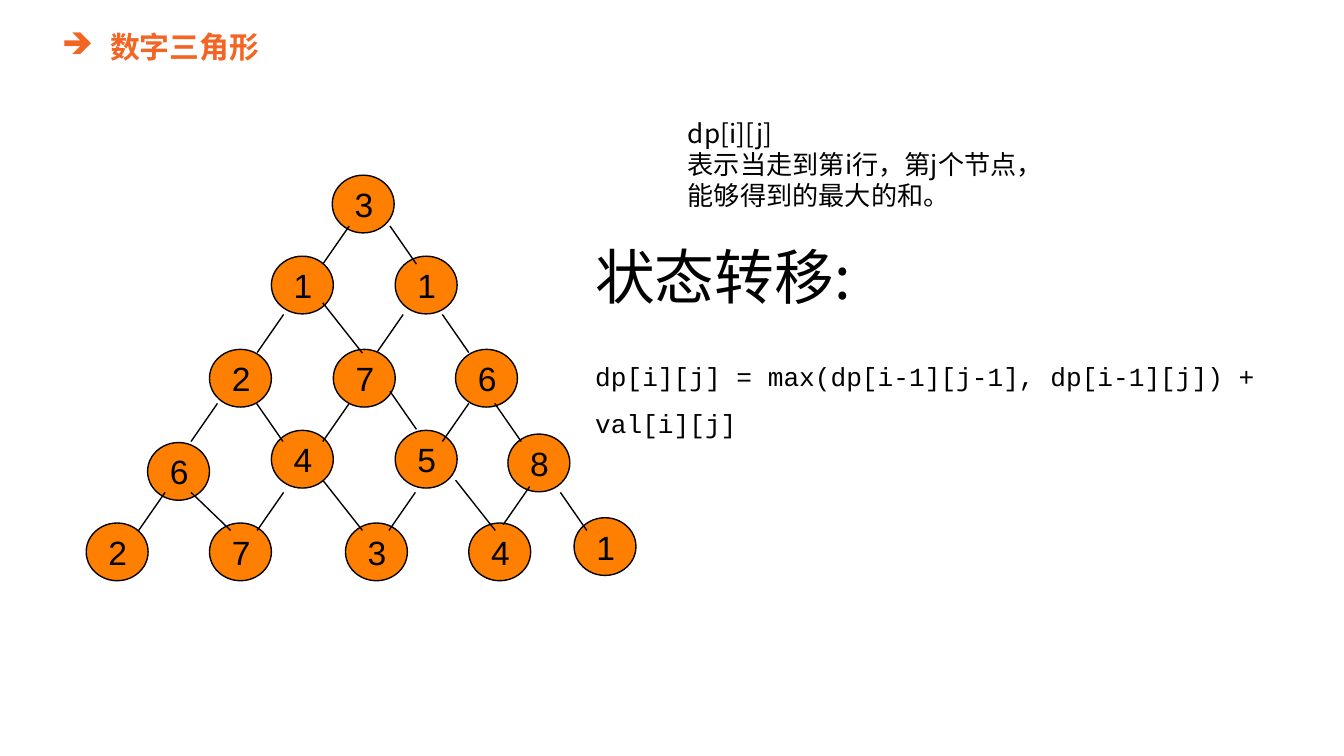
"""Build a slide explaining the number triangle and its state transition."""
from lxml import etree
from pptx import Presentation
from pptx import util as u
from pptx.dml.color import RGBColor
from pptx.enum import shapes, text
from pptx.oxml import ns

COLORS = {"accent": "F46524", "node": "FF7F00", "ink": "000000"}
CJK = "Noto Sans CJK SC"
MONO = "Courier New"
NODE_W, NODE_H = 1.17, 1.09

NODES = [
    [("3", 6.28, 3.31)],
    [("1", 5.13, 4.84), ("1", 7.47, 4.84)],
    [("2", 3.96, 6.6), ("7", 6.3, 6.6), ("6", 8.61, 6.6)],
    [("6", 2.79, 8.36), ("4", 5.13, 8.13), ("5", 7.47, 8.13), ("8", 9.6, 8.2)],
    [("2", 1.63, 9.88), ("7", 3.96, 9.88), ("3", 6.53, 9.88),
     ("4", 8.86, 9.88), ("1", 10.85, 9.78)],
]

EDGES = {
    (-0.5, 0.72): [(6.6, 4.27), (5.36, 5.94), (4.11, 7.62), (3.12, 9.3),
                   (7.62, 5.94), (6.6, 7.62), (5.36, 9.3), (8.86, 7.62),
                   (7.85, 9.3), (10.01, 9.19)],
    (0.5, 0.72): [(7.37, 4.27), (8.36, 5.94), (9.35, 7.62), (10.59, 9.3),
                  (4.85, 7.62), (7.37, 7.39)],
    (0.75, 0.95): [(6.1, 5.72), (8.61, 9.07), (6.1, 9.07)],
    (0.75, 0.72): [(3.61, 9.3)],
}


def rgb(name):
    """Return the named colour."""
    return RGBColor.from_string(COLORS[name])


def style(p, size, font, color="ink", bold=False):
    """Set the font of a paragraph for Latin and East Asian text."""
    p.font.size = u.Pt(size)
    p.font.name = font
    p.font.bold = bold
    p.font.color.rgb = rgb(color)
    props = p._p.get_or_add_pPr().get_or_add_defRPr()
    etree.SubElement(props, ns.qn("a:ea"), typeface=font)


def add_bullet(p, char, color):
    """Give a paragraph a coloured bullet with a hanging indent."""
    pPr = p._p.get_or_add_pPr()
    pPr.set("marL", str(u.Cm(1.27)))
    pPr.set("indent", str(-u.Cm(0.91)))
    clr = etree.Element(ns.qn("a:buClr"))
    etree.SubElement(clr, ns.qn("a:srgbClr"), val=COLORS[color])
    for el in (clr, etree.Element(ns.qn("a:buChar"), char=char)):
        pPr.get_or_add_defRPr().addprevious(el)


def add_text(s, box, lines):
    """Add a wrapping text box of (text, size, font) lines and return its paragraphs."""
    tf = s.shapes.add_textbox(*map(u.Cm, box)).text_frame
    tf.word_wrap = True
    tf.margin_left = tf.margin_right = tf.margin_top = tf.margin_bottom = u.Cm(0.25)
    tf.text = "\n".join(line for line, _, _ in lines)
    for p, (_, size, font) in zip(tf.paragraphs, lines):
        style(p, size, font)
    return tf.paragraphs


def add_title(s, title):
    """Add the bulleted slide title."""
    p = add_text(s, (0.56, 0.2, 17.3, 1.02), [(title, 16, CJK)])[0]
    p.line_spacing = 1.15
    p.space_after = u.Pt(10)
    p.font.bold = True
    p.font.color.rgb = rgb("accent")
    add_bullet(p, "➔", "accent")


def add_node(s, value, x, y):
    """Add one numbered circle of the triangle."""
    sp = s.shapes.add_shape(shapes.MSO_SHAPE.OVAL, *map(u.Cm, (x, y, NODE_W, NODE_H)))
    sp.shadow.inherit = False
    sp.fill.solid()
    sp.fill.fore_color.rgb = rgb("node")
    sp.line.color.rgb = rgb("ink")
    sp.line.width = u.Pt(0.75)
    tf = sp.text_frame
    tf.text = value
    tf.vertical_anchor = text.MSO_ANCHOR.MIDDLE
    p = tf.paragraphs[0]
    p.alignment = text.PP_ALIGN.CENTER
    style(p, 18, "Arial")


def add_edge(s, x, y, dx, dy):
    """Add one line from a node towards a node in the next row."""
    line = s.shapes.add_connector(
        shapes.MSO_CONNECTOR.STRAIGHT, *map(u.Cm, (x, y, x + dx, y + dy)))
    line.line.color.rgb = rgb("ink")
    line.line.width = u.Pt(0.75)
    etree.SubElement(line._element.spPr, ns.qn("a:effectLst"))


def main():
    """Build and save the slide."""
    prs = Presentation()
    prs.slide_width, prs.slide_height = u.Cm(25.4), u.Cm(14.28)
    s = prs.slides.add_slide(prs.slide_layouts[6])
    add_title(s, "数字三角形")
    for row in NODES:
        for value, x, y in row:
            add_node(s, value, x, y)
    for (dx, dy), starts in EDGES.items():
        for x, y in starts:
            add_edge(s, x, y, dx, dy)
    _, formula = add_text(s, (11, 4.27, 14.96, 8.74), [
        ("状态转移:", 32, CJK),
        ("dp[i][j] = max(dp[i-1][j-1], dp[i-1][j]) + val[i][j]", 14, MONO)])
    formula.line_spacing = 1.5
    formula.space_before = u.Pt(18)
    add_text(s, (12.75, 1.96, 8.36, 2.84), [
        (line, 14, CJK) for line in
        ("dp[i][j]", "表示当走到第i行，第j个节点，", "能够得到的最大的和。")])
    prs.save("out.pptx")


if __name__ == "__main__":
    main()
